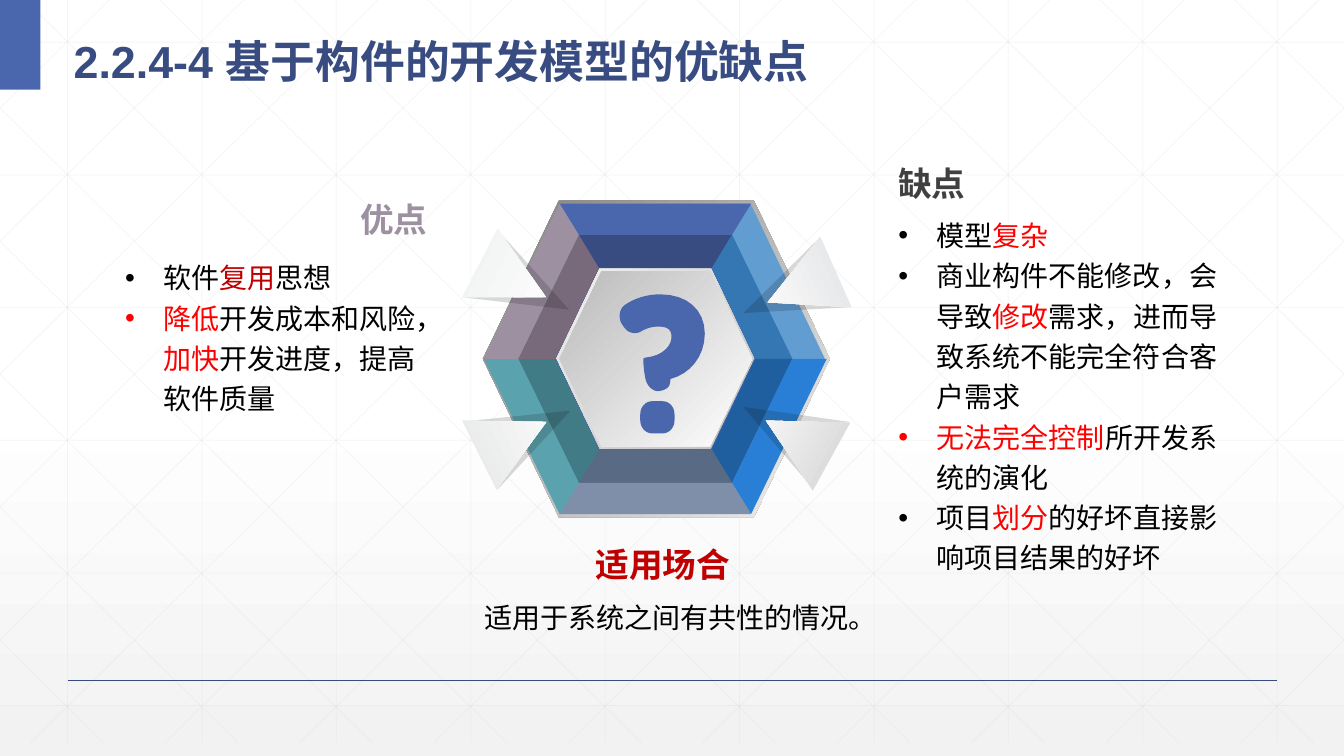
from dataclasses import dataclass

from lxml import etree
from pptx import Presentation
from pptx.dml.color import RGBColor
from pptx.enum.shapes import MSO_CONNECTOR, MSO_SHAPE
from pptx.enum.text import MSO_ANCHOR, MSO_AUTO_SIZE, PP_ALIGN
from pptx.oxml.ns import qn
from pptx.util import Inches, Pt

STRAIGHT = MSO_CONNECTOR.STRAIGHT
RECT, HEXAGON, TRIANGLE = MSO_SHAPE.RECTANGLE, MSO_SHAPE.HEXAGON, MSO_SHAPE.ISOSCELES_TRIANGLE
TOP, MIDDLE = MSO_ANCHOR.TOP, MSO_ANCHOR.MIDDLE
LEFT, CENTER, RIGHT = PP_ALIGN.LEFT, PP_ALIGN.CENTER, PP_ALIGN.RIGHT
NO_FIT = MSO_AUTO_SIZE.NONE
WIDTH, HEIGHT, GRID_BOTTOM, STEP = 13.33, 7.5, 7.37, 1.333


@dataclass(frozen=True)
class Theme:
    latin: str = "Arial"
    cjk: str = "Noto Sans CJK SC"
    title_size: int = 32
    heading_size: int = 24
    body_size: int = 20
    navy: str = "384C81"
    blue: str = "4A66AC"
    sky: str = "629DD1"
    mauve: str = "9D90A0"
    red: str = "FF0000"
    crimson: str = "C00000"
    black: str = "000000"
    dark: str = "404040"
    shade: str = "0D0D0D"
    grid: str = "D9D9D9"
    paper: tuple = ("FFFFFF", "F2F2F2")
    rim: tuple = ("808080", "F2F2F2")
    bevel: tuple = ("BFBFBF", "F2F2F2")
    face: tuple = ("FFFFFF", "BABABA")
    inner_ring: tuple = ("384C81", "3477B2", "1F5FA0", "596A85", "417B85", "78697B")
    outer_ring: tuple = ("4A66AC", None, "297FD5", "7F8FA9", "5AA2AE", "9D90A0")


T = Theme()

PROS = [
    [("软件", T.black), ("复用", T.crimson), ("思想", T.black)],
    [("降低", T.red), ("开发成本和风险，", T.black), ("加快", T.red),
     ("开发进度，提高软件质量", T.black)],
]
CONS = [
    [("模型", T.black), ("复杂", T.red)],
    [("商业构件不能修改，会导致", T.black), ("修改", T.red),
     ("需求，进而导致系统不能完全符合客户需求", T.black)],
    [("无法完全控制", T.red), ("所开发系统的演化", T.black)],
    [("项目", T.black), ("划分", T.red), ("的好坏直接影响项目结果的好坏", T.black)],
]
ARROWS = [
    ((7.43, 3.78), (7.54, 3.98), 298.8, "D3D3D4"),
    ((7.45, 2.41), (7.57, 2.48), 246.1, "E2E3E4"),
    ((4.84, 3.8), (4.71, 3.98), 63.5, "E4E5E6"),
    ((4.83, 2.35), (4.71, 2.41), 117.4, "F0F1F1"),
]
QUESTION_DOT = [
    (6.47, 3.98), (6.57, 3.98), (6.64, 3.98, 6.69, 4.04, 6.69, 4.11), (6.69, 4.17),
    (6.69, 4.24, 6.64, 4.3, 6.57, 4.3), (6.47, 4.3), (6.4, 4.3, 6.35, 4.24, 6.35, 4.17),
    (6.35, 4.11), (6.35, 4.04, 6.4, 3.98, 6.47, 3.98),
]
QUESTION_HOOK = [
    (6.55, 2.92), (6.81, 2.92, 6.99, 3.07, 6.99, 3.31), (6.99, 3.54, 6.84, 3.71, 6.65, 3.76),
    (6.65, 3.76, 6.65, 3.78, 6.64, 3.82), (6.63, 3.85, 6.58, 3.88, 6.52, 3.88),
    (6.47, 3.88, 6.41, 3.82, 6.4, 3.75), (6.39, 3.69), (6.38, 3.62, 6.38, 3.56, 6.38, 3.56),
    (6.39, 3.55), (6.59, 3.53, 6.66, 3.42, 6.66, 3.34), (6.66, 3.27, 6.62, 3.24, 6.53, 3.24),
    (6.48, 3.24, 6.43, 3.25, 6.37, 3.28), (6.32, 3.32, 6.24, 3.31, 6.2, 3.26), (6.17, 3.22),
    (6.13, 3.16, 6.14, 3.07, 6.19, 3.03), (6.29, 2.96, 6.41, 2.92, 6.55, 2.92),
]


def apply(obj, **values):
    for name, value in values.items():
        setattr(obj, name, value)


def place(sp, left, top, width, height):
    apply(sp, left=Inches(left), top=Inches(top), width=Inches(width), height=Inches(height))


def set_alpha(sp, percent):
    for color in sp._element.spPr.iter(qn("a:srgbClr")):
        etree.SubElement(color, qn("a:alpha"), val=str(percent * 1000))


def paint(fill, color, angle=90, start=0):
    if isinstance(color, str):
        fill.solid()
        fill.fore_color.rgb = RGBColor.from_string(color)
        return
    fill.gradient()
    fill.gradient_angle = 360 - angle
    for stop, rgb, position in zip(fill.gradient_stops, color, (start, 1)):
        stop.color.rgb = RGBColor.from_string(rgb)
        stop.position = position


def finish(sp, color, angle=90):
    sp.shadow.inherit = False
    sp.line.fill.background()
    paint(sp.fill, color, angle)


def add_preset(shapes, kind, box, color, angle=90, rotation=0):
    sp = shapes.add_shape(kind, *map(Inches, box))
    finish(sp, color, angle)
    sp.rotation = rotation
    return sp


def add_line(shapes, start, end, color, width):
    c = shapes.add_connector(STRAIGHT, *map(Inches, (*start, *end)))
    c.line.color.rgb = RGBColor.from_string(color)
    c.line.width = Pt(width)
    etree.SubElement(c._element.spPr, qn("a:effectLst"))
    return c


def add_outline(shapes, contours, color):
    contours = [[(Inches(x), Inches(y)) for x, y in points] for points in contours]
    builder = shapes.build_freeform(*contours[0][0], scale=1.0)
    for i, points in enumerate(contours):
        if i:
            builder.move_to(*points[0])
        builder.add_line_segments(points[1:], close=True)
    finish(builder.convert_to_shape(), color)


def flatten(path_points, steps=8):
    points = []
    for values in path_points:
        if len(values) == 2:
            points.append(values)
            continue
        nodes = [points[-1], values[:2], values[2:4], values[4:]]
        for t in (n / steps for n in range(1, steps + 1)):
            weights = ((1 - t) ** 3, 3 * t * (1 - t) ** 2, 3 * t * t * (1 - t), t ** 3)
            points.append(tuple(sum(w * node[axis] for w, node in zip(weights, nodes))
                                for axis in (0, 1)))
    return points


def fill_paragraph(p, runs, size, bold=False, align=LEFT, spacing=1.0):
    apply(p, alignment=align, line_spacing=spacing, space_before=Pt(0), space_after=Pt(0))
    for text, color in runs:
        r = p.add_run()
        r.text = text
        apply(r.font, name=T.latin, size=Pt(size), bold=bold)
        r.font.color.rgb = RGBColor.from_string(color)
        rPr = r.font._element
        rPr.set("lang", "zh-CN")
        etree.SubElement(rPr, qn("a:ea"), typeface=T.cjk)


def set_frame(tf, anchor, inset=0):
    apply(tf, word_wrap=True, auto_size=NO_FIT, vertical_anchor=anchor)
    for side in ("left", "right", "top", "bottom"):
        setattr(tf, f"margin_{side}", Inches(inset))


def add_label(shapes, box, text, color, size, bold, align, anchor=MIDDLE, spacing=1.0):
    tf = shapes.add_textbox(*map(Inches, box)).text_frame
    set_frame(tf, anchor)
    fill_paragraph(tf.paragraphs[0], [(text, color)], size, bold, align, spacing)


def fill_title(sp, text):
    place(sp, 0.63, 0.16, 11.52, 0.73)
    set_frame(sp.text_frame, MIDDLE, 0.1)
    fill_paragraph(sp.text_frame.paragraphs[0], [(text, T.navy)], T.title_size, True, spacing=1.3)


def fill_list(sp, box, items):
    place(sp, *box)
    tf = sp.text_frame
    set_frame(tf, TOP)
    for i, runs in enumerate(items):
        p = tf.add_paragraph() if i else tf.paragraphs[0]
        pPr = p._p.get_or_add_pPr()
        pPr.set("marL", str(Inches(0.38)))
        pPr.set("indent", str(-Inches(0.38)))
        etree.SubElement(pPr, qn("a:buFont"), typeface=T.latin)
        etree.SubElement(pPr, qn("a:buChar"), char="•")
        fill_paragraph(p, runs, T.body_size, spacing=1.2)


def draw_grid(shapes):
    lines = [((0.67 + STEP * i, 0), (0.67 + STEP * i, GRID_BOTTOM)) for i in range(10)]
    lines += [((0, 0.42 + 1.316 * i), (WIDTH, 0.42 + 1.316 * i)) for i in range(6)]
    slope = 0.99
    for i in range(-5, 10):
        x = 0.25 + STEP * i
        x1, x2 = max(x, 0), min(x + GRID_BOTTOM / slope, WIDTH)
        y1, y2 = (x1 - x) * slope, (x2 - x) * slope
        lines += [((x1, y1), (x2, y2)), ((WIDTH - x1, y1), (WIDTH - x2, y2))]
    for start, end in lines:
        set_alpha(add_line(shapes, start, end, T.grid, 0.5), 25)


def hexagon_corners(half_width, half_top, half_height, cx=6.5, cy=3.56):
    return [(cx - half_top, cy - half_height), (cx + half_top, cy - half_height),
            (cx + half_width, cy), (cx + half_top, cy + half_height),
            (cx - half_top, cy + half_height), (cx - half_width, cy)]


def draw_ring(shapes, inner, outer, colors):
    for i, color in enumerate(colors):
        j = (i + 1) % 6
        if color:
            add_outline(shapes, [[inner[i], inner[j], outer[j], outer[i]]], color)


def draw_emblem(shapes):
    for box, color, angle in [
        ((4.79, 1.99, 3.44, 3.14), T.rim, 45), ((4.82, 2.02, 3.36, 3.07), T.sky, 0),
        ((5.16, 2.33, 2.69, 2.46), T.blue, 0), ((5.52, 2.66, 1.96, 1.79), T.bevel, 225),
        ((5.55, 2.69, 1.91, 1.74), T.face, 225),
    ]:
        add_preset(shapes, HEXAGON, box, color, angle).adjustments[0] = 0.24
    inner = hexagon_corners(0.99, 0.56, 0.9)
    middle = hexagon_corners(1.36, 0.76, 1.23)
    outer = hexagon_corners(1.7, 0.95, 1.54)
    draw_ring(shapes, inner, middle, T.inner_ring)
    draw_ring(shapes, middle, outer, T.outer_ring)
    for shadow_at, arrow_at, rotation, tint in ARROWS:
        set_alpha(add_preset(shapes, TRIANGLE, (*shadow_at, 0.75, 0.99), T.shade,
                             rotation=rotation), 16)
        add_preset(shapes, TRIANGLE, (*arrow_at, 0.76, 0.74), ("FFFFFF", tint), rotation=rotation)
    add_outline(shapes, [flatten(QUESTION_DOT), flatten(QUESTION_HOOK)], T.blue)


def main():
    prs = Presentation()
    apply(prs, slide_width=Inches(WIDTH), slide_height=Inches(HEIGHT))
    slide = prs.slides.add_slide(prs.slide_layouts[3])
    shapes = slide.shapes
    title, pros, cons = slide.placeholders
    paint(slide.background.fill, T.paper, start=0.53)
    draw_grid(shapes.add_group_shape().shapes)
    add_line(shapes, (0.67, 6.75), (12.67, 6.75), T.navy, 1)
    add_preset(shapes, RECT, (0, 0, 0.4, 0.89), T.blue)
    draw_emblem(shapes.add_group_shape().shapes)
    for sp in (title, pros, cons):
        shapes._spTree.append(sp._element)
    fill_title(title, "2.2.4-4 基于构件的开发模型的优缺点")
    fill_list(pros, (1.24, 2.52, 2.95, 1.7), PROS)
    fill_list(cons, (8.91, 2.1, 3.4, 3.58), CONS)
    for box, text, color, align in [
        ((8.91, 1.54, 3.27, 0.55), "缺点", T.dark, LEFT),
        ((1.29, 1.82, 2.95, 0.7), "优点", T.mauve, RIGHT),
        ((4.97, 5.44, 3.21, 0.32), "适用场合", T.crimson, CENTER),
    ]:
        add_label(shapes, box, text, color, T.heading_size, True, align)
    add_label(shapes, (4.59, 5.89, 3.83, 0.55), "适用于系统之间有共性的情况。",
              T.black, T.body_size, False, RIGHT, TOP, 1.2)
    prs.save("out.pptx")


if __name__ == "__main__":
    main()
